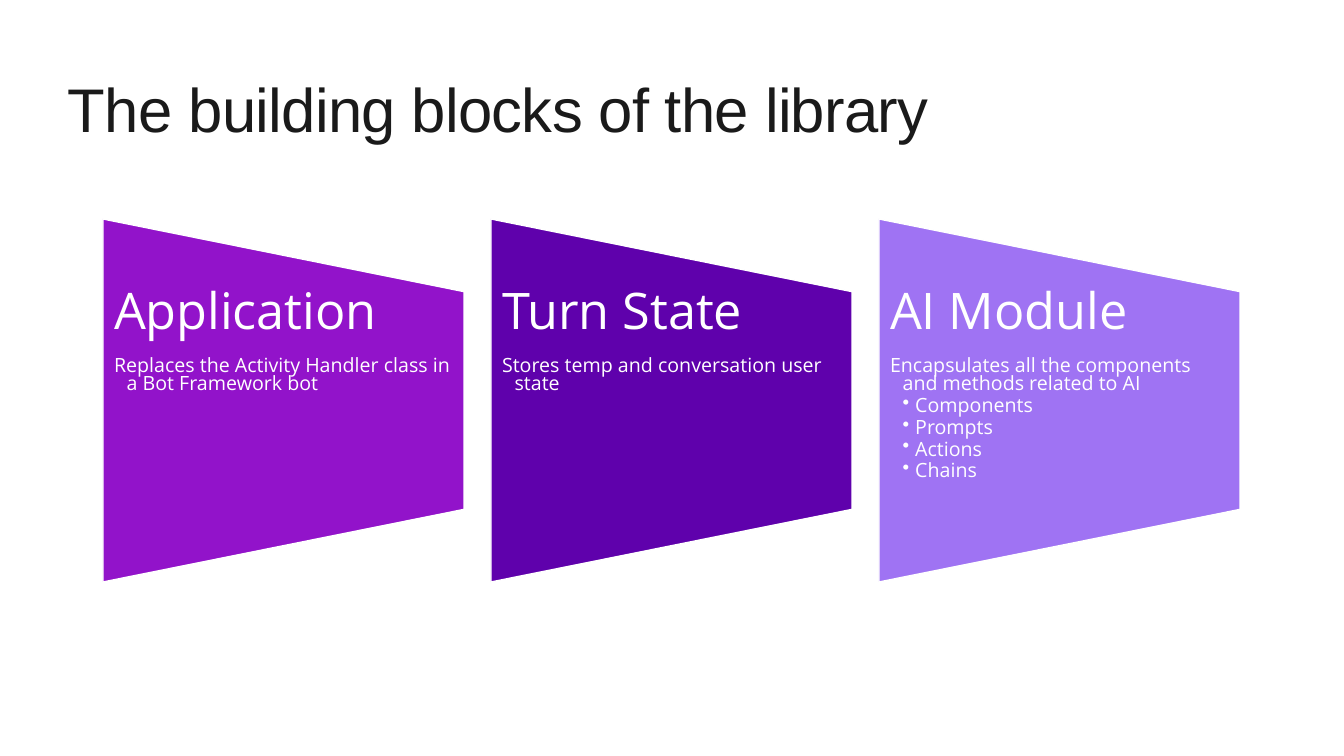
import pptx
import pptx.dml.color
import pptx.enum.shapes
import pptx.enum.text
import pptx.oxml.ns
import pptx.util
from lxml import etree

EMU_PER_PX = 914400 / 100.8
WHITE = "FFFFFF"
BLOCK_TOP, BLOCK_LEFT, BLOCK_PITCH = 220, 102, 388
BLOCKS = [
    ("Application", "9213CA", "Replaces the Activity Handler class in a Bot Framework bot", []),
    ("Turn State", "5F01AC", "Stores temp and conversation user state", []),
    ("AI Module", "9F73F3", "Encapsulates all the components and methods related to AI",
     ["Components", "Prompts", "Actions", "Chains"]),
]


def px(length):
    return pptx.util.Emu(round(length * EMU_PER_PX))


def color(value):
    return pptx.dml.color.RGBColor.from_string(value)


class SlideBuilder:
    title_font = "Arial"
    body_font = "Open Sans"

    def __init__(self, presentation):
        self.slide = presentation.slides.add_slide(presentation.slide_layouts[5])

    def set_frame(self, frame, anchor, side_inset):
        frame.word_wrap = True
        frame.auto_size = pptx.enum.text.MSO_AUTO_SIZE.NONE
        frame.vertical_anchor = anchor
        frame.margin_left = frame.margin_right = px(side_inset)
        frame.margin_top = frame.margin_bottom = 0

    def set_font(self, paragraph, name, size, value):
        paragraph.alignment = pptx.enum.text.PP_ALIGN.LEFT
        paragraph.font.name = name
        paragraph.font.size = pptx.util.Pt(size)
        paragraph.font.color.rgb = color(value)

    def title(self, text, left, top, width, height):
        shape = self.slide.shapes.title
        shape.left, shape.top, shape.width, shape.height = map(px, (left, top, width, height))
        self.set_frame(shape.text_frame, pptx.enum.text.MSO_ANCHOR.MIDDLE, 0)
        paragraph = shape.text_frame.paragraphs[0]
        run = paragraph.add_run()
        run.text = text
        run.font._element.set("spc", "-50")
        paragraph.line_spacing = 0.9
        self.set_font(paragraph, self.title_font, 44, "1A1A1A")

    def panel(self, left, top, width, height, fill):
        shape = self.slide.shapes.add_shape(
            pptx.enum.shapes.MSO_SHAPE.FLOWCHART_MANUAL_OPERATION,
            *map(px, (left, top, width, height)))
        shape.rotation = 270
        shape.shadow.inherit = False
        shape.fill.solid()
        shape.fill.fore_color.rgb = color(fill)
        shape.line.color.rgb = color(WHITE)
        shape.line.width = pptx.util.Pt(1)

    def text_box(self, left, top, width, height):
        shape = self.slide.shapes.add_textbox(*map(px, (left, top, width, height)))
        self.set_frame(shape.text_frame, pptx.enum.text.MSO_ANCHOR.TOP, 10)
        return shape.text_frame

    def paragraph(self, frame, text, size, space_after, level=0, bullet=None):
        paragraph = frame.paragraphs[0] if level == 0 else frame.add_paragraph()
        paragraph.text = text
        paragraph.level = level
        paragraph.line_spacing = 0.8
        paragraph.space_after = pptx.util.Pt(space_after)
        properties = paragraph._p.get_or_add_pPr()
        if level:
            properties.set("marL", str(px(12.6 * level)))
            properties.set("indent", str(px(-12.6)))
        if bullet:
            mark = etree.SubElement(properties, pptx.oxml.ns.qn("a:buChar"))
            mark.set("char", bullet)
        self.set_font(paragraph, self.body_font, size, WHITE)

    def block(self, left, heading, fill, description, items):
        self.panel(left, BLOCK_TOP, 363, 361, fill)
        frame = self.text_box(left + 2, BLOCK_TOP + 71, 361, 218)
        self.paragraph(frame, heading, 36, 12.6)
        self.paragraph(frame, description, 14, 2.1, level=1)
        for item in items:
            self.paragraph(frame, item, 14, 2.1, level=2, bullet="•")


def main():
    presentation = pptx.Presentation()
    presentation.slide_width, presentation.slide_height = px(1344), px(756)
    builder = SlideBuilder(presentation)
    builder.title("The building blocks of the library", 68, 67, 1210, 91)
    for index, block in enumerate(BLOCKS):
        builder.block(BLOCK_LEFT + index * BLOCK_PITCH, *block)
    presentation.save("out.pptx")


if __name__ == "__main__":
    main()
